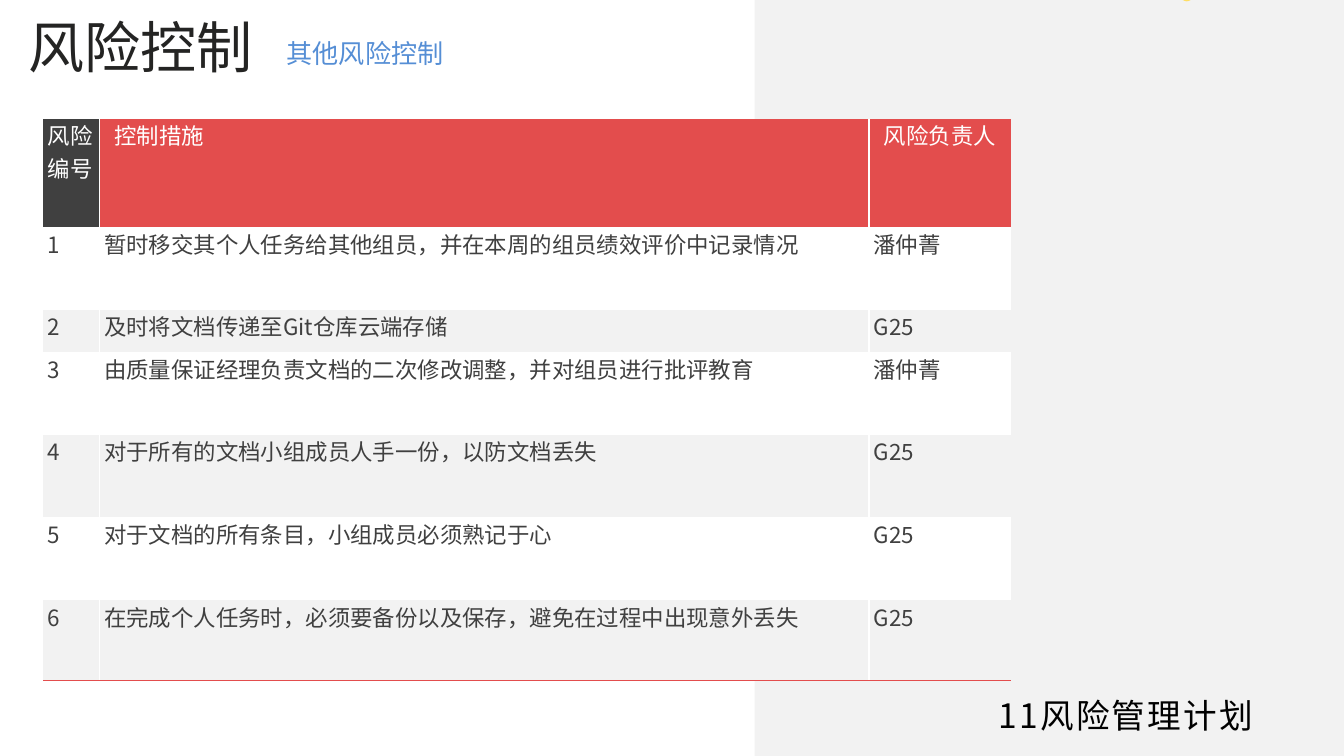
"""Build the slide on other risk controls with its table of measures."""
from lxml.etree import SubElement
from pptx import Presentation
from pptx.dml.color import RGBColor
from pptx.enum.shapes import MSO_SHAPE
from pptx.oxml.ns import qn
from pptx.util import Pt

FONT = "Noto Sans CJK SC"


def paint(fill, color):
    fill.solid()
    fill.fore_color.rgb = RGBColor.from_string(color)


def write(frame, text, size, color):
    para = frame.paragraphs[0]
    para.text = text
    para.font.size = Pt(size)
    paint(para.font.fill, color)
    para.font.name = FONT
    props = para._p.pPr.find(qn("a:defRPr"))
    SubElement(props, qn("a:ea")).set("typeface", FONT)
    return props


deck = Presentation()
deck.slide_width, deck.slide_height = Pt(1440), Pt(810)
slide = deck.slides.add_slide(deck.slide_layouts[6])
shapes = slide.shapes

panel = shapes.add_shape(MSO_SHAPE.RECTANGLE, Pt(808.56), 0, Pt(632.88), Pt(810))
pen = shapes.build_freeform(Pt(1267.2), 0)
pen.add_line_segments([(Pt(x), Pt(y)) for x, y in [
    (1275.8, 0), (1273.7, 1), (1271.5, 1.44), (1269.4, 1)]])
dot = pen.convert_to_shape()
for shape, color in [(panel, "F2F2F2"), (dot, "FFDE62")]:
    shape.shadow.inherit = False
    paint(shape.fill, color)
    shape.line.fill.background()

labels = [
    ("风险控制", 29.5, 8.6, 545.8, 113, 0.7, 5, 60, "242423", 0),
    ("其他风险控制", 300.2, 39.6, 182.2, 41, 7.2, 0, 28, "558ED5", 0),
    ("11风险管理计划", 1069.2, 733.7, 674.6, 85, 0.7, 10.7, 36, "000000", 2.4),
]
for text, left, top, width, height, inset, drop, size, color, space in labels:
    frame = shapes.add_textbox(Pt(left), Pt(top), Pt(width), Pt(height)).text_frame
    frame.word_wrap = size != 28
    frame.margin_left, frame.margin_top = Pt(inset), Pt(drop)
    frame.margin_right = frame.margin_bottom = 0
    props = write(frame, text, size, color)
    if space:
        props.set("spc", str(round(space * 100)))

rows = [
    ("风险编号", "控制措施", "风险负责人"),
    ("1", "暂时移交其个人任务给其他组员，并在本周的组员绩效评价中记录情况", "潘仲菁"),
    ("2", "及时将文档传递至Git仓库云端存储", "G25"),
    ("3", "由质量保证经理负责文档的二次修改调整，并对组员进行批评教育", "潘仲菁"),
    ("4", "对于所有的文档小组成员人手一份，以防文档丢失", "G25"),
    ("5", "对于文档的所有条目，小组成员必须熟记于心", "G25"),
    ("6", "在完成个人任务时，必须要备份以及保存，避免在过程中出现意外丢失", "G25"),
]
widths = [60.5, 824.4, 151.9]
heights = [115.9, 88.6, 45.4, 88.6, 88.6, 88.6, 86.4]
grid = shapes.add_table(len(rows), len(widths), Pt(46.1), Pt(127.4),
                        Pt(sum(widths)), Pt(sum(heights))).table
style = grid._tbl.tblPr.find(qn("a:tableStyleId"))
style.text = "{2D5ABB26-0587-4C30-8999-92F81FD0307C}"
for col, width in zip(grid.columns, widths):
    col.width = Pt(width)

for r, (row, height) in enumerate(zip(rows, heights)):
    grid.rows[r].height = Pt(height)
    for c, text in enumerate(row):
        cell = grid.cell(r, c)
        indent = 11 if r == 0 and c > 0 else 0
        cell.margin_left, cell.margin_right = Pt(5 + indent), Pt(5)
        cell.margin_top = cell.margin_bottom = 0
        write(cell.text_frame, text, 24, "404040" if r else "FFFFFF")
        edges = [("a:lnL", c > 0, "FFFFFF"), ("a:lnR", c < 2, "FFFFFF"),
                 ("a:lnB", r == len(rows) - 1, "E34D4D")]
        for tag, shown, color in edges:
            if shown:
                line = SubElement(cell._tc.get_or_add_tcPr(), qn(tag))
                line.set("w", str(Pt(1.5)))
                solid = SubElement(line, qn("a:solidFill"))
                SubElement(solid, qn("a:srgbClr")).set("val", color)
        if r == 0:
            paint(cell.fill, "E34D4D" if c else "404040")
        else:
            paint(cell.fill, "FFFFFF" if r % 2 else "F2F2F2")

deck.save("out.pptx")
